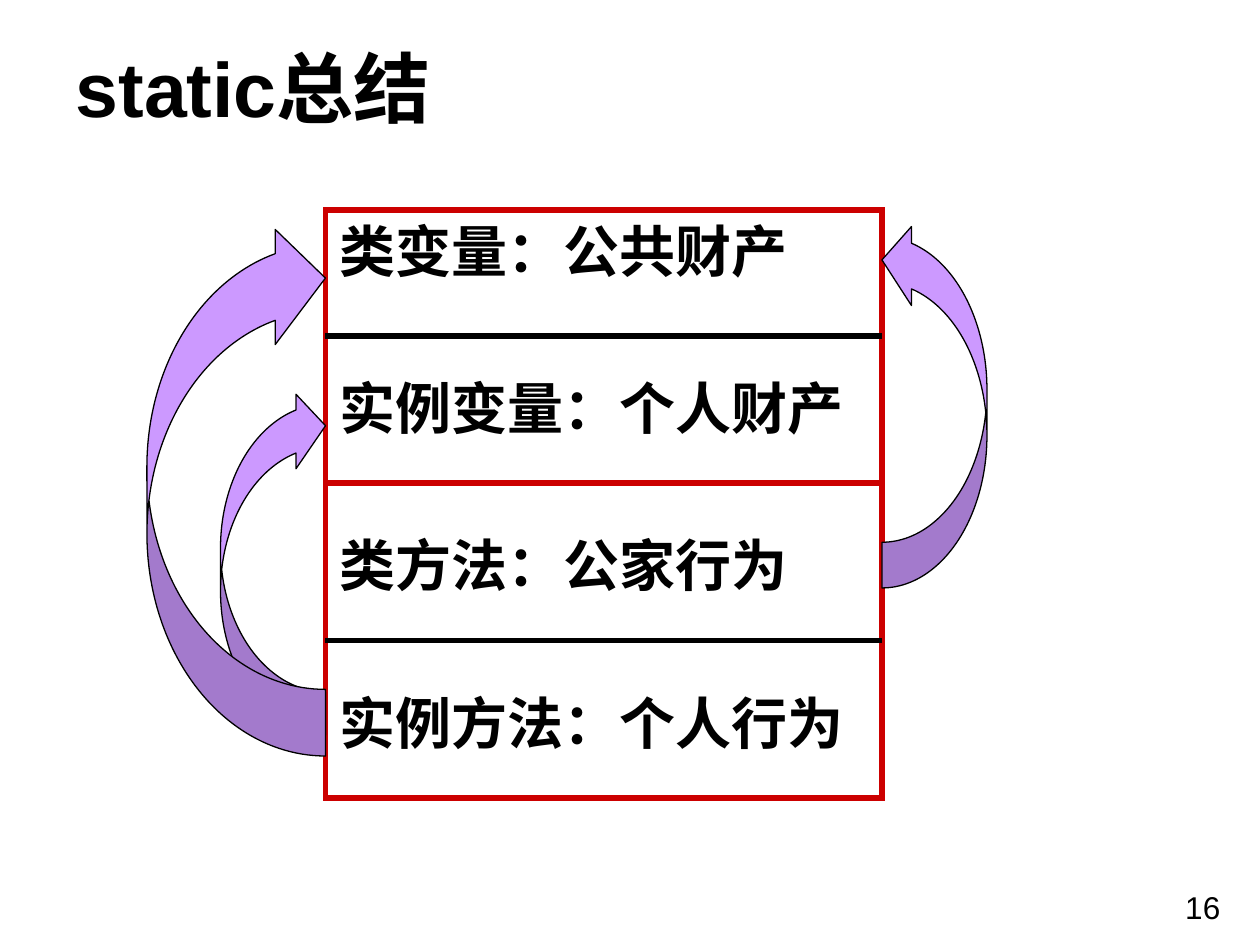
from pptx import Presentation
from pptx.dml.color import RGBColor
from pptx.enum.shapes import MSO_CONNECTOR, MSO_SHAPE
from pptx.enum.text import MSO_ANCHOR, PP_ALIGN
from pptx.oxml.ns import qn
from pptx.util import Inches, Pt
from lxml.etree import SubElement

BLACK = RGBColor(0x00, 0x00, 0x00)
RED = RGBColor(0xCC, 0x00, 0x00)
LILAC = RGBColor(0xCC, 0x99, 0xFF)

# The slide is a grid of 120 columns by 90 rows
COLUMNS, ROWS = 120, 90
FRAME_LEFT, FRAME_RIGHT, FRAME_TOP, FRAME_BOTTOM = 31, 84, 20, 76
MEMBERS = ["类变量：公共财产", "实例变量：个人财产", "类方法：公家行为", "实例方法：个人行为"]


class SlideBuilder:
    font_name = "Arial"

    def __init__(self, deck):
        self.cell_width = deck.slide_width / COLUMNS
        self.cell_height = deck.slide_height / ROWS
        self.page = deck.slides.add_slide(deck.slide_layouts[5])

    def area(self, column, row, width, height):
        return (round(column * self.cell_width), round(row * self.cell_height),
                round(width * self.cell_width), round(height * self.cell_height))

    def style(self, paragraph, size, bold=False):
        paragraph.alignment = PP_ALIGN.LEFT
        font = paragraph.font
        font.name, font.size, font.bold = self.font_name, Pt(size), bold
        font.color.rgb = BLACK

    def title(self, text, *place):
        box = self.page.shapes.title
        box.left, box.top, box.width, box.height = self.area(*place)
        box.text_frame.text = text
        box.text_frame.vertical_anchor = MSO_ANCHOR.MIDDLE
        self.style(box.text_frame.paragraphs[0], 44, bold=True)

    def label(self, text, *place):
        box = self.page.shapes.add_textbox(*self.area(*place))
        box.text_frame.word_wrap = False
        box.text_frame.text = text
        self.style(box.text_frame.paragraphs[0], 18)

    def frame(self, lines, gap, *place):
        box = self.page.shapes.add_shape(MSO_SHAPE.RECTANGLE, *self.area(*place))
        box.shadow.inherit = False
        box.fill.background()
        box.line.color.rgb, box.line.width = RED, Pt(3)
        SubElement(box.line._get_or_add_ln(), qn("a:miter"), lim="800000")
        box.text_frame.word_wrap = True
        box.text_frame.margin_left = Inches(0.11)
        box.text_frame.vertical_anchor = MSO_ANCHOR.TOP
        box.text_frame.text = "\n".join(lines)
        for index, paragraph in enumerate(box.text_frame.paragraphs):
            self.style(paragraph, 32, bold=True)
            paragraph.space_before = Pt(gap if index else 0)

    def divider(self, row, color):
        left, top, width, _ = self.area(FRAME_LEFT, row, FRAME_RIGHT - FRAME_LEFT, 0)
        line = self.page.shapes.add_connector(
            MSO_CONNECTOR.STRAIGHT, left, top, left + width, top)
        line.line.color.rgb, line.line.width = color, Pt(3)
        SubElement(line.element.spPr, qn("a:effectLst"))

    def curved_arrow(self, place, adjustments, mirrored=False):
        arrow = self.page.shapes.add_shape(
            MSO_SHAPE.CURVED_RIGHT_ARROW, *self.area(*place))
        arrow.shadow.inherit = False
        for index, value in enumerate(adjustments):
            arrow.adjustments[index] = value
        arrow.fill.solid()
        arrow.fill.fore_color.rgb = LILAC
        arrow.line.color.rgb, arrow.line.width = BLACK, Pt(0.75)
        transform = arrow.element.spPr.get_or_add_xfrm()
        transform.set("flipV", "1")
        if mirrored:
            transform.set("flipH", "1")


def main():
    deck = Presentation()
    deck.slide_width, deck.slide_height = Inches(10), Inches(7.5)
    builder = SlideBuilder(deck)

    # Page number and title
    builder.label("16", 111.7, 84, 6.1, 4.8)
    builder.title("static总结", 6, 3.7, 98.4, 9.2)

    # Class members
    builder.frame(MEMBERS, 51.5, FRAME_LEFT, FRAME_TOP,
                  FRAME_RIGHT - FRAME_LEFT, FRAME_BOTTOM - FRAME_TOP)

    # Access from class methods
    builder.curved_arrow((FRAME_RIGHT, 21, 10, 35), (0.435, 0.752, 0.281), mirrored=True)

    # Dividers between members
    for row, color in ((46, RED), (32, BLACK), (61, BLACK)):
        builder.divider(row, color)

    # Access from instance methods
    for width, top, height, adjustments in (
            (10, 37, 33, (0.41, 0.709, 0.281)),
            (17, 21, 51, (0.373, 0.645, 0.281))):
        builder.curved_arrow((FRAME_LEFT - width, top, width, height), adjustments)

    deck.save("out.pptx")


if __name__ == "__main__":
    main()
